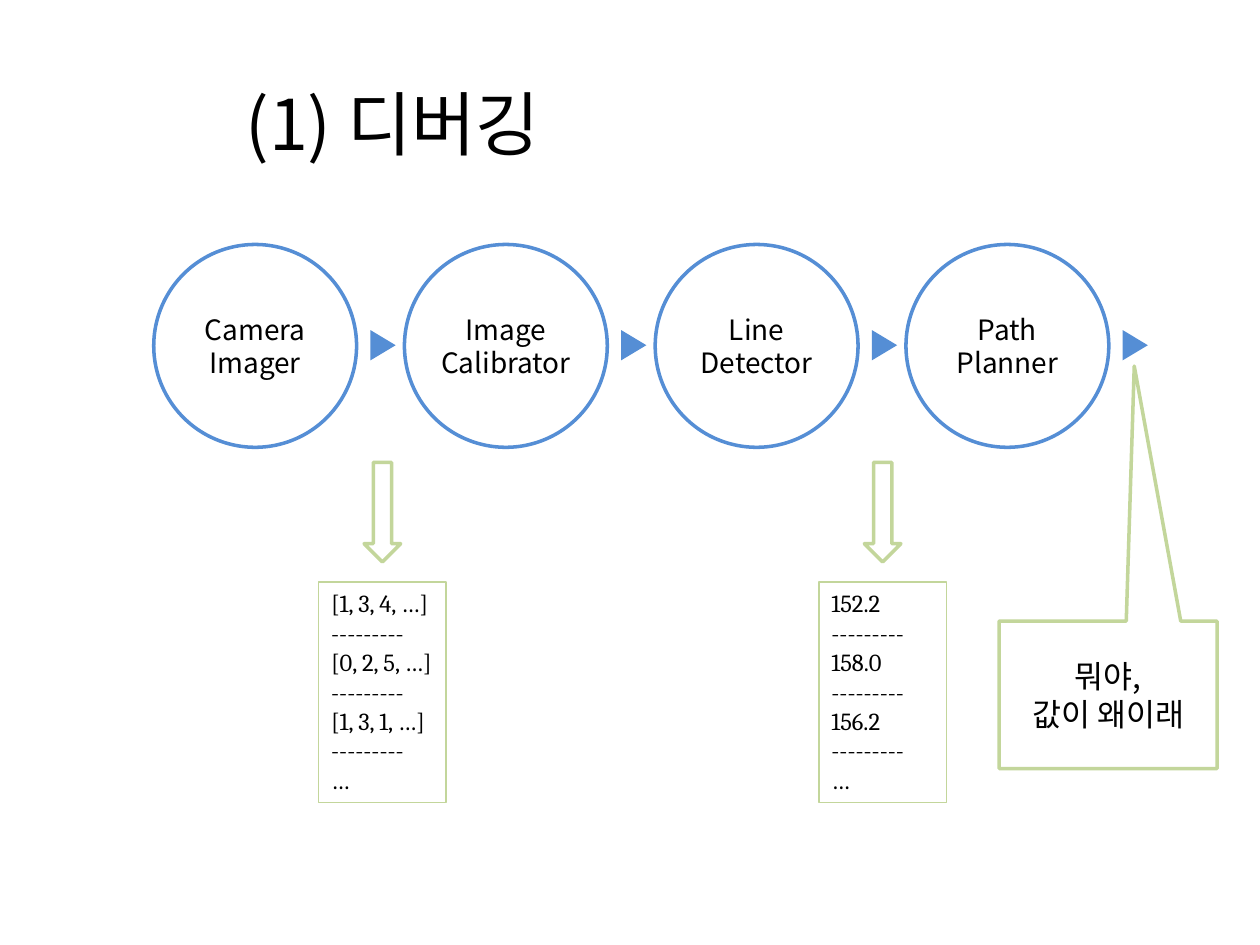
from lxml import etree
from pptx import Presentation
from pptx import util as u
from pptx.dml.color import RGBColor
from pptx.enum import shapes, text
from pptx.oxml.ns import qn

BLACK = RGBColor(0x00, 0x00, 0x00)
BLUE = RGBColor(0x55, 0x8E, 0xD5)
GREEN = RGBColor(0xC3, 0xD6, 0x9B)
SANS = "Noto Sans CJK KR"
SERIF = "Cambria"

presentation = Presentation()
presentation.slide_width = u.Inches(10)
presentation.slide_height = u.Inches(7.5)
slide = presentation.slides.add_slide(presentation.slide_layouts[6])


def add_shape(kind, left, top, width, height, fill=None, line=None, weight=2):
    shape = slide.shapes.add_shape(
        kind, u.Inches(left), u.Inches(top), u.Inches(width), u.Inches(height)
    )
    shape.shadow.inherit = False
    if fill:
        shape.fill.solid()
        shape.fill.fore_color.rgb = fill
    else:
        shape.fill.background()
    if line:
        shape.line.color.rgb = line
        shape.line.width = u.Pt(weight)
    else:
        shape.line.fill.background()
    return shape


def write(shape, words, size, font, align, anchor):
    frame = shape.text_frame
    frame.word_wrap = True
    frame.vertical_anchor = anchor
    frame.text = words
    for paragraph in frame.paragraphs:
        paragraph.alignment = align
        paragraph.font.size = u.Pt(size)
        paragraph.font.name = font
        paragraph.font.color.rgb = BLACK
        properties = paragraph._p.pPr.find(qn("a:defRPr"))
        etree.SubElement(properties, qn("a:ea")).set("typeface", font)
    return frame


title = slide.shapes.add_textbox(
    u.Inches(1.85), u.Inches(0.52), u.Inches(7.65), u.Inches(0.9)
)
write(title, "(1) 디버깅", 40, SANS, text.PP_ALIGN.LEFT, text.MSO_ANCHOR.MIDDLE)

callout = add_shape(
    shapes.MSO_SHAPE.RECTANGULAR_CALLOUT, 7.93, 4.93, 1.73, 1.17, line=GREEN
)
callout.adjustments[0] = 0.12
callout.adjustments[1] = -2.23
write(callout, "뭐야,\v값이 왜이래", 18, SANS, text.PP_ALIGN.CENTER, text.MSO_ANCHOR.MIDDLE)

stages = ["Camera\vImager", "Image\nCalibrator", "Line Detector", "Path Planner"]
for index, stage in enumerate(stages):
    left = 1.22 + 1.99 * index
    circle = add_shape(shapes.MSO_SHAPE.OVAL, left, 1.94, 1.61, 1.61, line=BLUE)
    frame = write(circle, stage, 16, SANS, text.PP_ALIGN.CENTER, text.MSO_ANCHOR.MIDDLE)
    frame.margin_left = frame.margin_right = 0
    frame.margin_top = frame.margin_bottom = 0
    pointer = add_shape(
        shapes.MSO_SHAPE.ISOSCELES_TRIANGLE, left + 1.7, 2.64, 0.24, 0.2, fill=BLUE
    )
    pointer.rotation = 90

outputs = [
    (2.53, ["[1, 3, 4, …]", "[0, 2, 5, …]", "[1, 3, 1, …]"]),
    (6.5, ["152.2", "158.0", "156.2"]),
]
for left, values in outputs:
    arrow = add_shape(
        shapes.MSO_SHAPE.RIGHT_ARROW, left + 0.11, 3.92, 0.79, 0.29, line=GREEN
    )
    arrow.rotation = 90
    log = add_shape(
        shapes.MSO_SHAPE.RECTANGLE, left, 4.62, 1.01, 1.75, line=GREEN, weight=0.75
    )
    words = "\n---------\n".join(values + ["…"])
    write(log, words, 14, SERIF, text.PP_ALIGN.LEFT, text.MSO_ANCHOR.TOP)

presentation.save("out.pptx")
